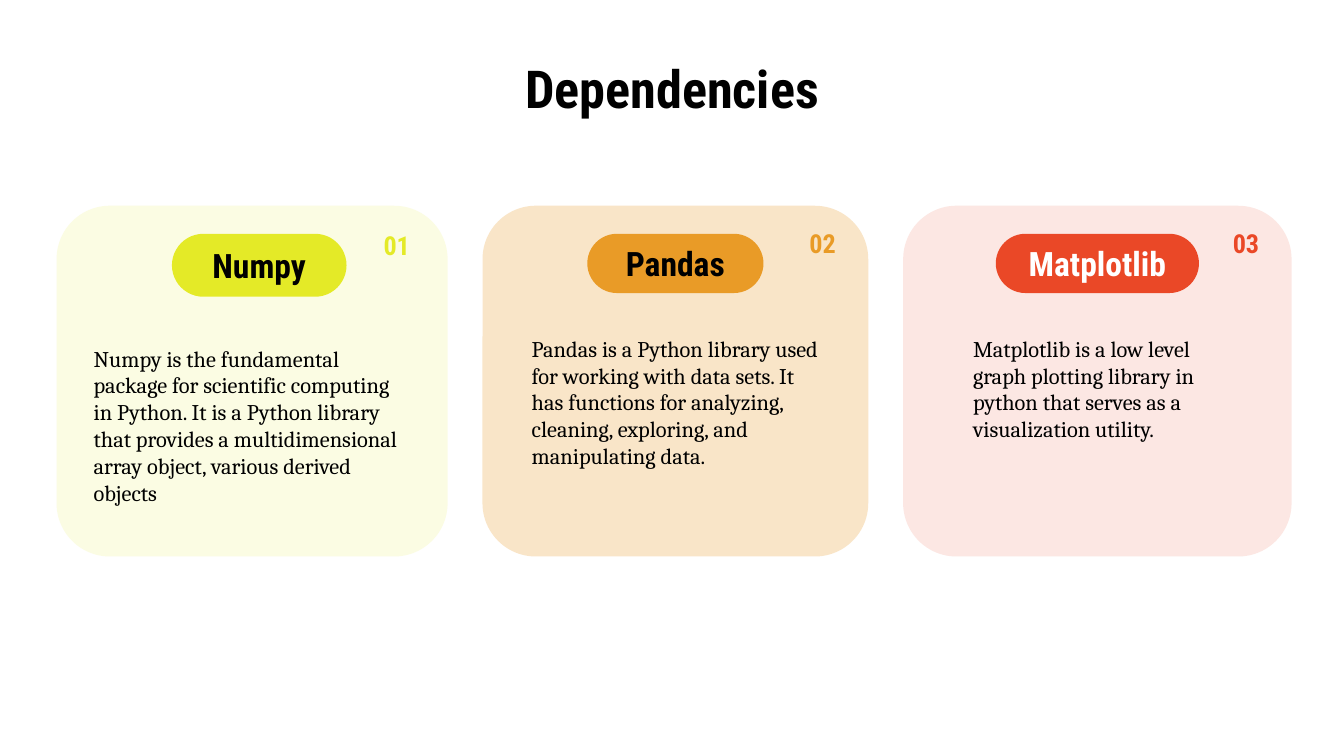
import pptx
import pptx.dml.color
import pptx.enum.shapes
import pptx.enum.text
import pptx.oxml
import pptx.oxml.ns
import pptx.util

Cm = pptx.util.Cm
Pt = pptx.util.Pt
RGBColor = pptx.dml.color.RGBColor
ALIGN = pptx.enum.text.PP_ALIGN
ANCHOR = pptx.enum.text.MSO_ANCHOR
AUTO_SIZE = pptx.enum.text.MSO_AUTO_SIZE
ROUNDED = pptx.enum.shapes.MSO_SHAPE.ROUNDED_RECTANGLE

BLACK = RGBColor(0x00, 0x00, 0x00)
WHITE = RGBColor(0xFF, 0xFF, 0xFF)
YELLOW = RGBColor(0xE4, 0xEA, 0x27)
ORANGE = RGBColor(0xE9, 0x9B, 0x27)
RED = RGBColor(0xEA, 0x48, 0x27)

HEADING = {"name": "Roboto Condensed", "bold": True}
BODY = {"name": "Cambria", "bold": False, "size": Pt(12)}
INSET = Cm(0.25)
FRAME = {"word_wrap": True, "auto_size": AUTO_SIZE.NONE,
         "vertical_anchor": ANCHOR.MIDDLE, "margin_left": INSET,
         "margin_right": INSET, "margin_top": INSET, "margin_bottom": INSET}
GROWING = {**FRAME, "auto_size": AUTO_SIZE.SHAPE_TO_FIT_TEXT,
           "vertical_anchor": ANCHOR.TOP,
           "margin_top": Cm(0.13), "margin_bottom": Cm(0.13)}


def write(shape, text, font, color, align, frame=FRAME):
    text_frame = shape.text_frame
    text_frame.text = text
    for key, value in frame.items():
        setattr(text_frame, key, value)
    paragraph = text_frame.paragraphs[0]
    paragraph.alignment = align
    for key, value in font.items():
        setattr(paragraph.runs[0].font, key, value)
    paragraph.runs[0].font.color.rgb = color


def add_rounded(left, top, width, height, corner, color):
    shape = slide.shapes.add_shape(ROUNDED, Cm(left), Cm(top), Cm(width), Cm(height))
    shape.adjustments[0] = corner
    shape.shadow.inherit = False
    shape.fill.solid()
    shape.fill.fore_color.rgb = color
    shape.line.fill.background()
    return shape


presentation = pptx.Presentation()
presentation.slide_width = Cm(25.4)
presentation.slide_height = Cm(14.29)
slide = presentation.slides.add_slide(presentation.slide_layouts[5])

# Title
title = slide.shapes.title
title.left, title.top, title.width, title.height = Cm(1.27), Cm(1.14), Cm(22.86), Cm(1.04)
write(title, "Dependencies", {**HEADING, "size": Pt(28)}, BLACK, ALIGN.CENTER)

# Library cards: horizontal extents are (left, width) in cm
CARD_TOP, CARD_HEIGHT, PILL_TOP = 3.89, 6.63, 4.42
libraries = [
    {"library": "Numpy", "color": YELLOW, "opacity": 13, "ink": BLACK,
     "card": (1.07, 7.39), "pill": (3.25, 3.3), "pill_height": 1.19,
     "number": (6.48, 1.52), "number_height": 1.5,
     "description": (1.52, 6.02, 6.48, 4.04), "frame": FRAME,
     "text": "Numpy is the fundamental package for scientific computing in Python. "
             "It is a Python library that provides a multidimensional array object, "
             "various derived objects"},
    {"library": "Pandas", "color": ORANGE, "opacity": 25, "ink": BLACK,
     "card": (9.12, 7.29), "pill": (11.1, 3.33), "pill_height": 1.12,
     "number": (14.53, 1.52), "number_height": 1.4,
     "description": (9.8, 6.2, 5.92, 3.33), "frame": GROWING,
     "text": "Pandas is a Python library used for working with data sets. It has "
             "functions for analyzing, cleaning, exploring, and manipulating data."},
    {"library": "Matplotlib", "color": RED, "opacity": 13, "ink": WHITE,
     "card": (17.07, 7.34), "pill": (18.82, 3.84), "pill_height": 1.12,
     "number": (22.5, 1.55), "number_height": 1.4,
     "description": (18.14, 6.2, 5.21, 2.31), "frame": GROWING,
     "text": "Matplotlib is a low level graph plotting library in python that "
             "serves as a visualization utility."},
]

for index, entry in enumerate(libraries, start=1):
    # Translucent card
    left, width = entry["card"]
    card = add_rounded(left, CARD_TOP, width, CARD_HEIGHT, 0.152, entry["color"])
    card_color = card.fill._xPr.find(".//" + pptx.oxml.ns.qn("a:srgbClr"))
    card_color.append(pptx.oxml.parse_xml(
        f'<a:alpha {pptx.oxml.ns.nsdecls("a")} val="{entry["opacity"] * 1000}"/>'))

    # Name pill
    left, width = entry["pill"]
    pill = add_rounded(left, PILL_TOP, width, entry["pill_height"], 0.5, entry["color"])
    write(pill, entry["library"], {**HEADING, "size": Pt(18)}, entry["ink"], ALIGN.CENTER)

    # Number
    left, width = entry["number"]
    number = slide.shapes.add_textbox(
        Cm(left), Cm(CARD_TOP), Cm(width), Cm(entry["number_height"]))
    write(number, f"{index:02d}", {**HEADING, "size": Pt(14)}, entry["color"], ALIGN.RIGHT)

    # Description
    description = slide.shapes.add_textbox(*map(Cm, entry["description"]))
    write(description, entry["text"], BODY, BLACK, ALIGN.LEFT, entry["frame"])

presentation.save("out.pptx")
